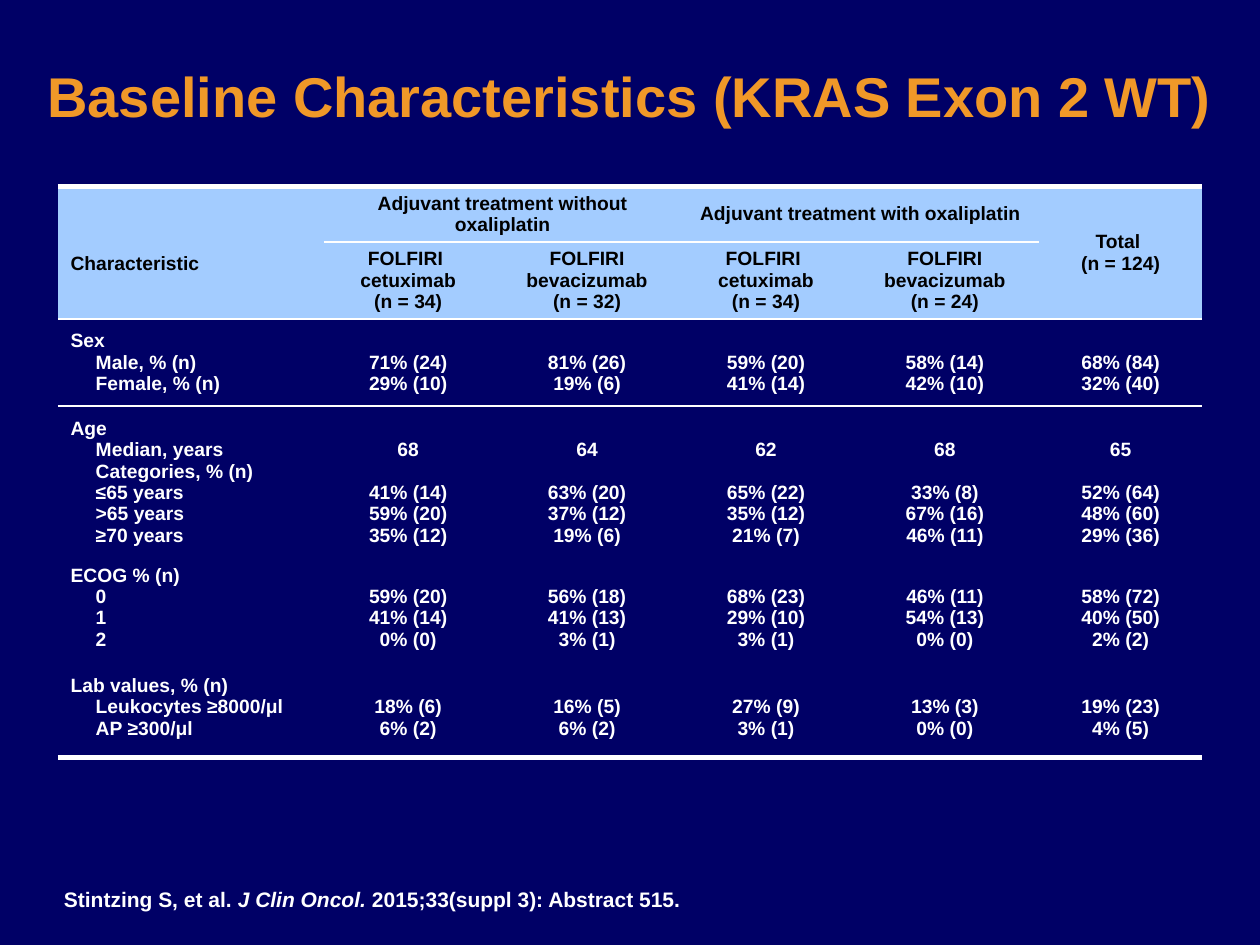
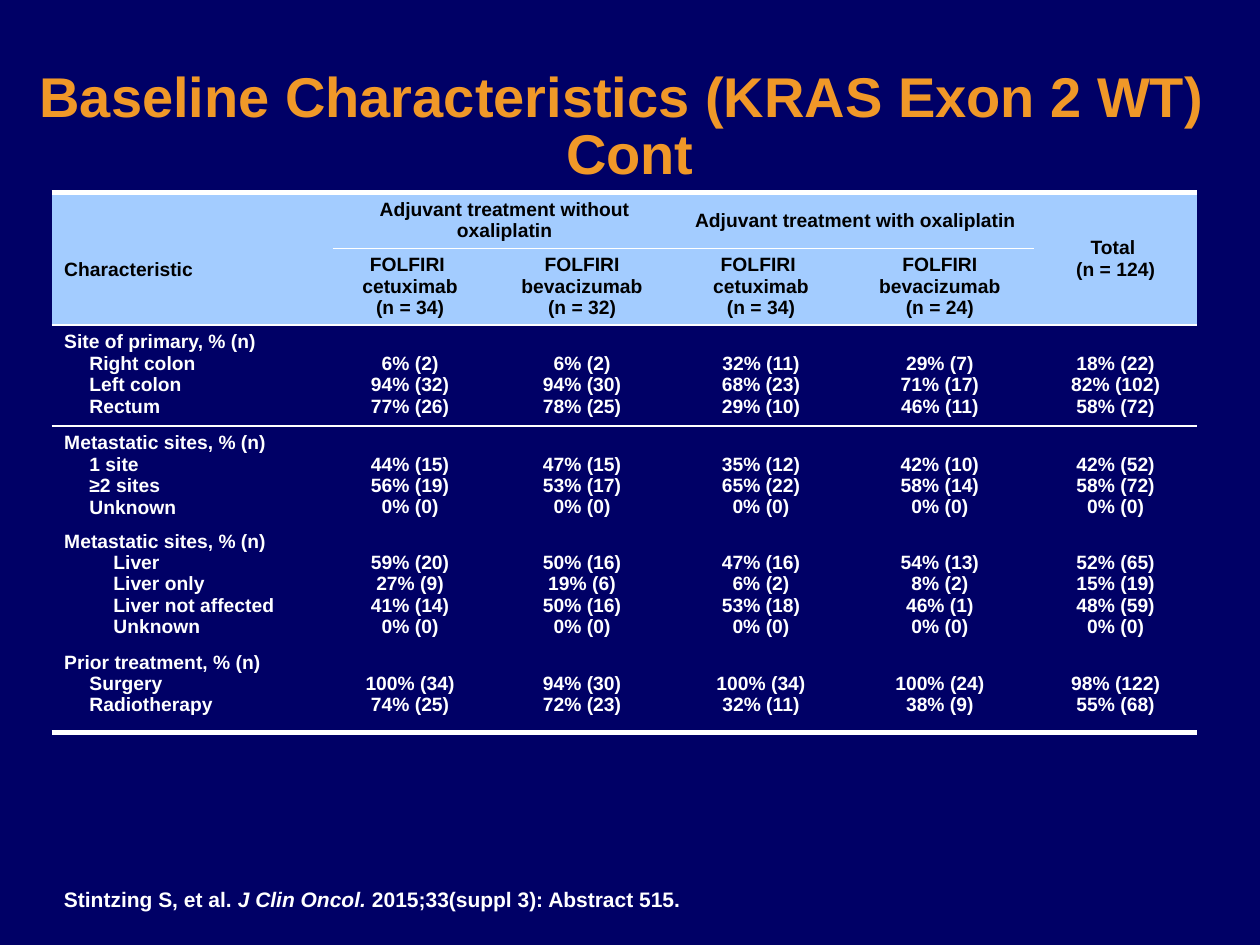
from copy import deepcopy
from dataclasses import dataclass

from lxml import etree
from pptx import Presentation
from pptx.dml import color
from pptx.enum import text
from pptx.oxml import ns
from pptx.util import Inches, Pt

# Shared look
NAVY, ORANGE, SKY, WHITE, BLACK = "000066", "F09828", "A3CCFF", "FFFFFF", "000000"
FONT = "Arial"
LINE = 0.17  # height of one table line in inches
PAD = 0.05  # top inset of a table cell in inches
HEADER_ROWS = [0.44, 0.61]
NO_STYLE = "{2D5ABB26-0587-4C30-8999-92F81FD0307C}"
CENTER = text.PP_ALIGN.CENTER
TOP, MIDDLE = text.MSO_ANCHOR.TOP, text.MSO_ANCHOR.MIDDLE

ARMS = ["FOLFIRI \ncetuximab\n(n = 34)", "FOLFIRI bevacizumab\n(n = 32)",
        "FOLFIRI \ncetuximab\n(n = 34)", "FOLFIRI bevacizumab\n(n = 24)"]
CITATION = [("Stintzing S, et al. ", False), ("J Clin Oncol. ", True),
            ("2015;33(suppl 3): Abstract 515.", False)]


@dataclass
class Group:
    """One table row: a heading with its items and their values by column."""
    heading: str
    height: float
    items: list[tuple[str, str]]
    indent: float = 0.2


@dataclass
class Page:
    title: str
    title_top: float
    line_spacing: float
    left: float
    top: float
    widths: list[float]
    anchor: text.MSO_ANCHOR
    groups: list[Group]


PAGES = [
    Page("Baseline Characteristics (KRAS Exon 2 WT)", 0.16, 0.9, 0.46, 1.48,
         [2.11, 1.34, 1.5, 1.34, 1.5, 1.29], MIDDLE, [
             Group("Sex", 0.69, [
                 ("Male, % (n)", "71% (24), 81% (26), 59% (20), 58% (14), 68% (84)"),
                 ("Female, % (n)", "29% (10), 19% (6), 41% (14), 42% (10), 32% (40)")]),
             Group("Age", 1.21, [
                 ("Median, years", "68, 64, 62, 68, 65"),
                 ("Categories, % (n)", ""),
                 ("≤65 years", "41% (14), 63% (20), 65% (22), 33% (8), 52% (64)"),
                 (">65 years", "59% (20), 37% (12), 35% (12), 67% (16), 48% (60)"),
                 ("≥70 years", "35% (12), 19% (6), 21% (7), 46% (11), 29% (36)")]),
             Group("ECOG % (n)", 0.78, [
                 ("0", "59% (20), 56% (18), 68% (23), 46% (11), 58% (72)"),
                 ("1", "41% (14), 41% (13), 29% (10), 54% (13), 40% (50)"),
                 ("2", "0% (0), 3% (1), 3% (1), 0% (0), 2% (2)")]),
             Group("Lab values, % (n)", 0.8, [
                 ("Leukocytes ≥8000/μl", "18% (6), 16% (5), 27% (9), 13% (3), 19% (23)"),
                 ("AP ≥300/μl", "6% (2), 6% (2), 3% (1), 0% (0), 4% (5)")]),
         ]),
    Page("Baseline Characteristics (KRAS Exon 2 WT) \vCont", 0.4, 0.85, 0.41, 1.53,
         [2.23, 1.23, 1.5, 1.34, 1.5, 1.29], TOP, [
             Group("Site of primary, % (n)", 0.8, [
                 ("Right colon", "6% (2), 6% (2), 32% (11), 29% (7), 18% (22)"),
                 ("Left colon", "94% (32), 94% (30), 68% (23), 71% (17), 82% (102)"),
                 ("Rectum", "77% (26), 78% (25), 29% (10), 46% (11), 58% (72)")]),
             Group("Metastatic sites, % (n)", 0.78, [
                 ("1 site", "44% (15), 47% (15), 35% (12), 42% (10), 42% (52)"),
                 ("≥2 sites", "56% (19), 53% (17), 65% (22), 58% (14), 58% (72)"),
                 ("Unknown", "0% (0), 0% (0), 0% (0), 0% (0), 0% (0)")]),
             Group("Metastatic sites, % (n)", 0.96, [
                 ("Liver", "59% (20), 50% (16), 47% (16), 54% (13), 52% (65)"),
                 ("Liver only", "27% (9), 19% (6), 6% (2), 8% (2), 15% (19)"),
                 ("Liver not affected", "41% (14), 50% (16), 53% (18), 46% (1), 48% (59)"),
                 ("Unknown", "0% (0), 0% (0), 0% (0), 0% (0), 0% (0)")], 0.39),
             Group("Prior treatment, % (n)", 0.69, [
                 ("Surgery", "100% (34), 94% (30), 100% (34), 100% (24), 98% (122)"),
                 ("Radiotherapy", "74% (25), 72% (23), 32% (11), 38% (9), 55% (68)")]),
         ]),
]


def rgb(value: str) -> color.RGBColor:
    return color.RGBColor.from_string(value)


def style_run(r, size: float, hex_color: str, **extra) -> None:
    formats = {"name": FONT, "size": Pt(size), "bold": True, **extra}
    for name, value in formats.items():
        setattr(r.font, name, value)
    r.font.color.rgb = rgb(hex_color)


def add_title(slide, page: Page) -> None:
    sp = slide.shapes.title
    sp.left, sp.top, sp.width, sp.height = map(Inches, (0, page.title_top, 10, 1.25))
    tf = sp.text_frame
    tf.text = page.title
    tf.auto_size = text.MSO_AUTO_SIZE.NONE
    tf.vertical_anchor = MIDDLE
    p = tf.paragraphs[0]
    p.alignment, p.line_spacing = CENTER, page.line_spacing
    for r in p.runs:
        style_run(r, 32, ORANGE)
        # Text shadow sits between the colour and the font name
        effects = etree.Element(ns.qn("a:effectLst"))
        shadow = etree.SubElement(effects, ns.qn("a:outerShdw"),
                                  dist="38100", dir="2700000", algn="tl")
        etree.SubElement(shadow, ns.qn("a:srgbClr"), val=BLACK)
        r.font._element.find(ns.qn("a:latin")).addprevious(effects)
    for br in p._p.findall(ns.qn("a:br")):
        br.insert(0, deepcopy(p.runs[0].font._element))


def add_citation(slide) -> None:
    box = slide.shapes.add_textbox(Inches(0.41), Inches(6.99), Inches(6.46), Inches(0.3))
    tf = box.text_frame
    tf.word_wrap = True
    tf.auto_size = text.MSO_AUTO_SIZE.SHAPE_TO_FIT_TEXT
    for words, italic in CITATION:
        r = tf.paragraphs[0].add_run()
        r.text = words
        style_run(r, 12, WHITE, italic=italic)


def fill_cell(cell, lines: list[str], hex_color: str, anchor, centered: bool = True,
              indent: float = 0, skip_line: bool = False) -> None:
    """Write one paragraph a line; an empty entry leaves a gap of one line."""
    cell.vertical_anchor = anchor
    cell.margin_top = Inches(PAD + LINE * skip_line)
    tf = cell.text_frame
    p, gap = None, 0
    for line in lines:
        if not line:
            gap += LINE
            continue
        first = p is None
        p = tf.paragraphs[0] if first else tf.add_paragraph()
        if centered:
            p.alignment = CENTER
        if gap:
            p.space_before, gap = Inches(gap), 0
        if indent and not first:
            p._p.get_or_add_pPr().set("marL", str(Inches(indent)))
        r = p.add_run()
        r.text = line
        style_run(r, 11, hex_color)


def set_borders(cell, top: float = 0, bottom: float = 0) -> None:
    tc_pr = cell._tc.get_or_add_tcPr()
    borders = [(tag, width) for tag, width in (("a:lnT", top), ("a:lnB", bottom)) if width]
    for i, (tag, width) in enumerate(borders):
        ln = etree.Element(ns.qn(tag), w=str(Pt(width)))
        solid = etree.SubElement(ln, ns.qn("a:solidFill"))
        etree.SubElement(solid, ns.qn("a:srgbClr"), val=WHITE)
        tc_pr.insert(i, ln)


def add_header(table, anchor) -> None:
    spans = [(0, 0, 1, 0, "Characteristic"),
             (0, 1, 0, 2, "Adjuvant treatment without oxaliplatin"),
             (0, 3, 0, 4, "Adjuvant treatment with oxaliplatin"),
             (0, 5, 1, 5, "Total \n(n = 124)")]
    for row, col, last_row, last_col, label in spans:
        cell = table.cell(row, col)
        cell.merge(table.cell(last_row, last_col))
        fill_cell(cell, label.split("\n"), BLACK, MIDDLE,
                  centered=col > 0, skip_line=col == 0)
    for col, arm in enumerate(ARMS, 1):
        fill_cell(table.cell(1, col), arm.split("\n"), BLACK, anchor)


def add_table(slide, page: Page) -> None:
    heights = HEADER_ROWS + [g.height for g in page.groups]
    frame = slide.shapes.add_table(
        len(heights), len(page.widths), Inches(page.left), Inches(page.top),
        Inches(sum(page.widths)), Inches(sum(heights)))
    table = frame.table
    table._tbl.tblPr.find(ns.qn("a:tableStyleId")).text = NO_STYLE
    table.first_row = table.horz_banding = False
    for column, width in zip(table.columns, page.widths):
        column.width = Inches(width)
    for row, height in zip(table.rows, heights):
        row.height = Inches(height)

    add_header(table, page.anchor)

    # Body: headings and items on the left, values below the heading line
    for row, group in enumerate(page.groups, len(HEADER_ROWS)):
        labels = [group.heading] + [label for label, _ in group.items]
        fill_cell(table.cell(row, 0), labels, WHITE, page.anchor,
                  centered=False, indent=group.indent)
        values = [v.split(", ") if v else [""] * 5 for _, v in group.items]
        for col, lines in enumerate(zip(*values), 1):
            fill_cell(table.cell(row, col), lines, WHITE, page.anchor, skip_line=True)

    # Fills and rules
    last = len(heights) - 1
    for row in range(len(heights)):
        for col in range(len(page.widths)):
            cell = table.cell(row, col)
            if row < len(HEADER_ROWS):
                cell.fill.solid()
                cell.fill.fore_color.rgb = rgb(SKY)
            else:
                cell.fill.background()
            inner = 1 <= col <= 4
            top = {0: 3, 1: 1 if inner else 0, 2: 1}.get(row, 0)
            bottom = {0: 1, 1: 1, last: 3}.get(row, 0)
            set_borders(cell, top, bottom)


def main() -> None:
    prs = Presentation()
    prs.slide_width, prs.slide_height = Inches(10), Inches(7.5)
    background = prs.slide_master.background.fill
    background.solid()
    background.fore_color.rgb = rgb(NAVY)
    for page in PAGES:
        slide = prs.slides.add_slide(prs.slide_layouts[5])
        add_title(slide, page)
        add_table(slide, page)
        add_citation(slide)
    prs.save("out.pptx")


if __name__ == "__main__":
    main()
